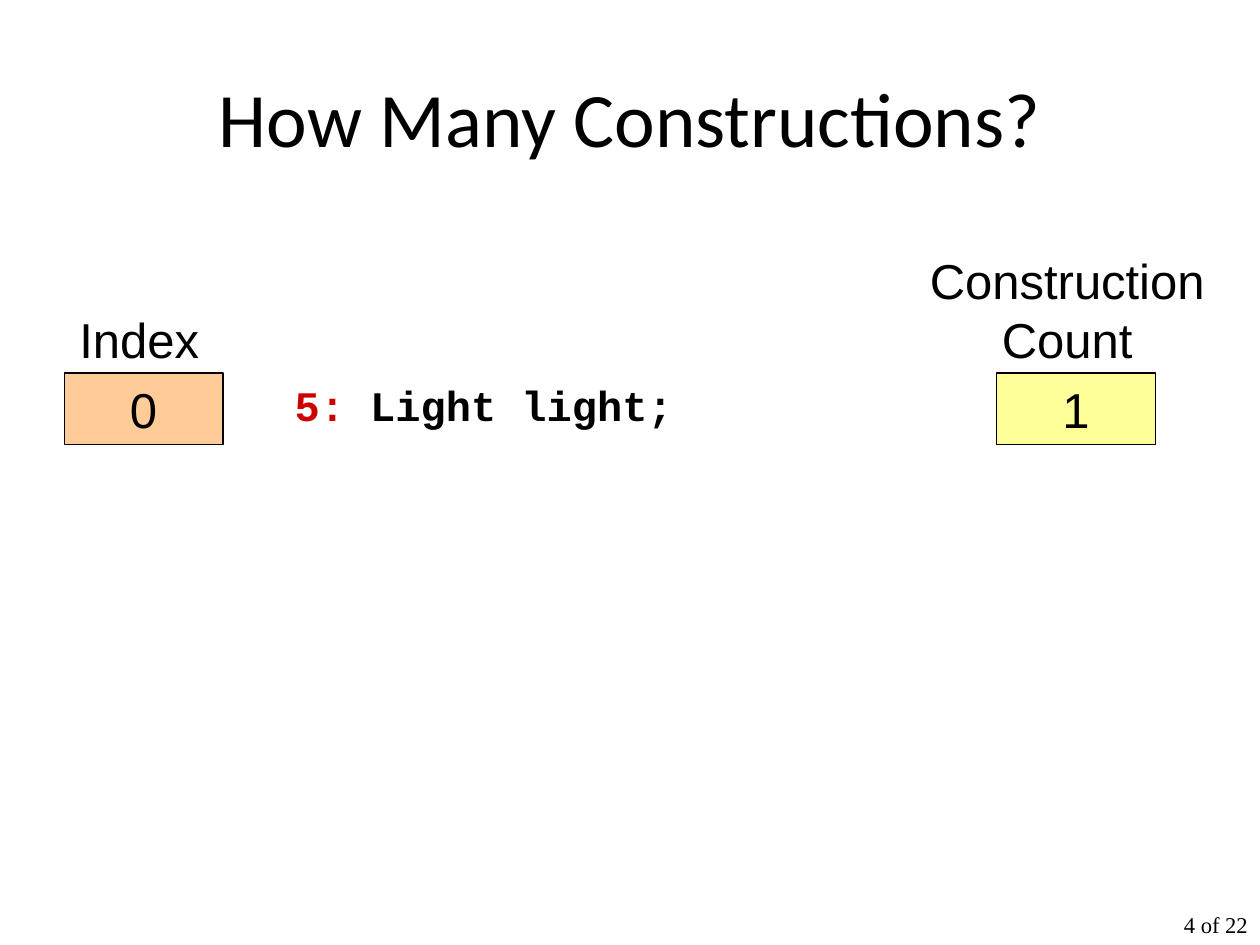
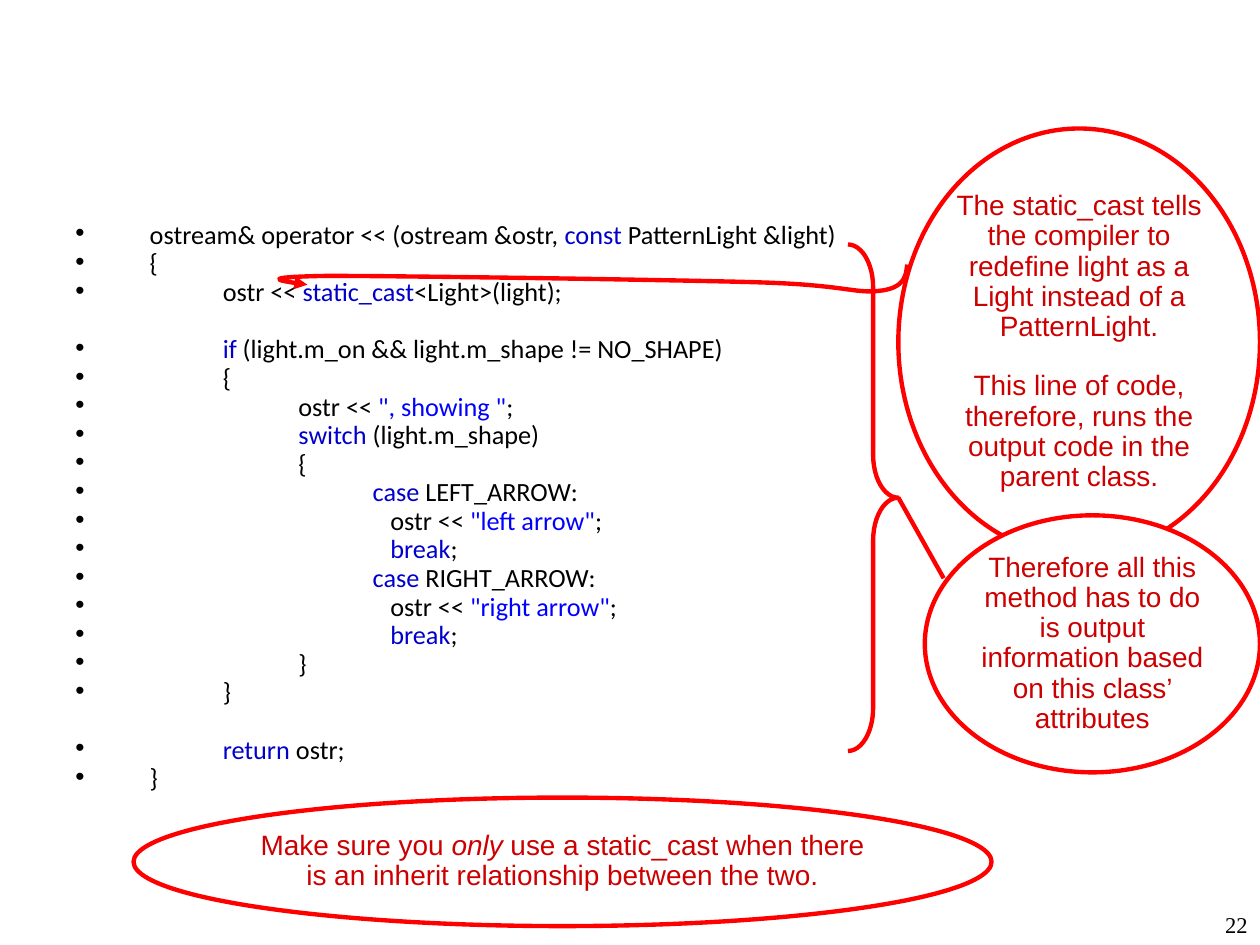
"""Build two lecture slides on object construction and static_cast."""
from lxml.etree import SubElement
from pptx import Presentation
from pptx.dml.color import RGBColor
from pptx.enum.shapes import MSO_CONNECTOR as Connector, MSO_SHAPE as Shape
from pptx.enum.text import MSO_ANCHOR as Anchor, PP_ALIGN as Align
from pptx.oxml.ns import qn
from pptx.util import Inches, Pt

BLACK, WHITE = "000000", "FFFFFF"
RED, DARK_RED = "FF0000", "CC0000"
KEYWORD, STRING = "0000CC", "0000FF"
ORANGE, YELLOW = "FFCC99", "FFFF99"
ANNOTATION_WIDTH = 2.5
CODE_INDENT = 0.59
CODE_TABS = (1.17, 1.77, 2.36, 2.5)
CODE_SPACE, CODE_GAP = 3.7, 20.2

CODE = """ostream& operator << (ostream &ostr, |const| PatternLight &light)
{
\tostr << |static_cast|<Light>(light);

\t|if| (light.m_on && light.m_shape != NO_SHAPE)
\t{
\t\tostr << |", showing "|;
\t\t|switch| (light.m_shape)
\t\t{
\t\t\t|case| LEFT_ARROW:
\t\t\t\tostr << |"left arrow"|;
\t\t\t\t|break|;
\t\t\t|case| RIGHT_ARROW:
\t\t\t\tostr << |"right arrow"|;
\t\t\t\t|break|;
\t\t}
\t}

\t|return| ostr;
}"""

CAST_NOTE = (
    "The static_cast tells the compiler to redefine light as a Light instead of a PatternLight.",
    "This line of code, therefore, runs the output code in the parent class.",
)
WARNING_NOTE = (
    "Make sure you |only| use a static_cast when there is an inherit relationship between the two.",
)
METHOD_NOTE = (
    "Therefore all this method has to do is output information based on this class’ attributes",
)

CAST_ARROW_START = (7.2, 2.1)
CAST_ARROW_CURVES = (
    ((7.19, 2.19), (7.18, 2.29), (6.97, 2.31)),
    ((6.77, 2.33), (6.71, 2.26), (5.98, 2.24)),
    ((5.25, 2.22), (3.19, 2.19), (2.6, 2.19)),
    ((2.01, 2.2), (2.22, 2.23), (2.44, 2.26)),
)


def rgb(color):
    """Turn a hex string into a colour."""
    return RGBColor.from_string(color)


def set_font(font, name, size, color=BLACK):
    """Set the face, size and colour of a font."""
    font.name, font.size = name, Pt(size)
    font.color.rgb = rgb(color)


def add_text(slide, box, text, name, size, align=Align.CENTER, anchor=Anchor.TOP):
    """Add a wrapped text box and return its first paragraph."""
    frame = slide.shapes.add_textbox(*map(Inches, box)).text_frame
    frame.word_wrap, frame.vertical_anchor = True, anchor
    paragraph = frame.paragraphs[0]
    paragraph.text, paragraph.alignment = text, align
    set_font(paragraph.font, name, size)
    return paragraph


def add_outlined(slide, kind, box, line, width, fill=None):
    """Add a preset shape with a plain outline and an optional fill."""
    shape = slide.shapes.add_shape(kind, *map(Inches, box))
    outline(shape, line, width, fill)
    return shape


def outline(shape, line, width, fill=None):
    """Remove the shadow and set the outline and fill."""
    shape.shadow.inherit = False
    shape.line.color.rgb, shape.line.width = rgb(line), Pt(width)
    if fill:
        shape.fill.solid()
        shape.fill.fore_color.rgb = rgb(fill)
    else:
        shape.fill.background()


def add_page_number(slide, text):
    """Put the page number in the bottom right corner."""
    paragraph = add_text(slide, (8.94, 7.22, 1.06, 0.28), text,
                         "Times New Roman", 12.9, Align.RIGHT)
    paragraph.line_spacing = 0.8


def add_counter(slide, box, label, label_box, value, fill):
    """Add a value cell with its label placed relative to the cell."""
    left, top, width, height = box
    dx, rise, label_width, label_height = label_box
    add_text(slide, (left + dx, top - rise, label_width, label_height), label, "Arial", 28)
    cell = add_outlined(slide, Shape.RECTANGLE, box, BLACK, 0.75, fill)
    cell.text_frame.vertical_anchor = Anchor.TOP
    paragraph = cell.text_frame.paragraphs[0]
    paragraph.text, paragraph.alignment = value, Align.CENTER
    set_font(paragraph.font, "Arial", 28)


def add_statement(slide, box, number, statement):
    """Add a numbered line of code."""
    paragraph = add_text(slide, box, "", "Courier New", 24, Align.LEFT)
    paragraph.font.bold = True
    for text, color in ((number, DARK_RED), (statement, BLACK)):
        run = paragraph.add_run()
        run.text = text
        set_font(run.font, "Courier New", 24, color)
        run.font.bold = True


def format_code_line(paragraph):
    """Give a code line its bullet, hanging indent and tab stops."""
    properties = paragraph._p.get_or_add_pPr()
    properties.set("marL", str(Inches(CODE_INDENT)))
    properties.set("indent", str(Inches(-CODE_INDENT)))
    bullet_color = SubElement(properties, qn("a:buClr"))
    SubElement(bullet_color, qn("a:srgbClr"), val=BLACK)
    SubElement(properties, qn("a:buFont"), typeface="Arial")
    SubElement(properties, qn("a:buChar"), char="•")
    tabs = SubElement(properties, qn("a:tabLst"))
    for stop in CODE_TABS:
        SubElement(tabs, qn("a:tab"), pos=str(Inches(stop)), algn="l")


def add_code(slide, box):
    """Add the bulleted listing with keywords and strings coloured."""
    frame = slide.shapes.add_textbox(*map(Inches, box)).text_frame
    frame.word_wrap = True
    paragraph, space = frame.paragraphs[0], CODE_SPACE
    for number, line in enumerate(CODE.splitlines()):
        if not line:
            space = CODE_GAP
            continue
        if number:
            paragraph = frame.add_paragraph()
        paragraph.line_spacing, paragraph.space_before = 0.7, Pt(space)
        space = CODE_SPACE
        format_code_line(paragraph)
        for index, text in enumerate(line.split("|")):
            if text:
                run = paragraph.add_run()
                run.text = text
                accent = STRING if text.startswith('"') else KEYWORD
                set_font(run.font, "Calibri", 15, accent if index % 2 else BLACK)


def add_note(slide, box, texts):
    """Add a red ellipse with a comment; bars enclose italic words."""
    ellipse = add_outlined(slide, Shape.OVAL, box, RED, ANNOTATION_WIDTH, WHITE)
    frame = ellipse.text_frame
    frame.word_wrap, frame.vertical_anchor = True, Anchor.MIDDLE
    frame.margin_left = frame.margin_right = frame.margin_top = frame.margin_bottom = 0
    for number, text in enumerate(texts):
        paragraph = frame.add_paragraph() if number else frame.paragraphs[0]
        paragraph.alignment, paragraph.line_spacing = Align.CENTER, 0.9
        if number:
            paragraph.space_before = Pt(16.6)
        set_font(paragraph.font, "Arial", 16, DARK_RED)
        for index, part in enumerate(text.split("|")):
            run = paragraph.add_run()
            run.text = part
            if index % 2:
                run.font.italic = True


def bezier(start, first, second, end, steps=16):
    """Return points along a cubic curve, without its start."""
    points = []
    for step in range(1, steps + 1):
        t = step / steps
        weights = ((1 - t) ** 3, 3 * t * (1 - t) ** 2, 3 * t * t * (1 - t), t ** 3)
        points.append(tuple(
            Inches(sum(weight * value for weight, value in zip(weights, axis)))
            for axis in zip(start, first, second, end)))
    return points


def add_cast_arrow(slide):
    """Draw the curved arrow from the cast note to the cast."""
    builder = slide.shapes.build_freeform(*map(Inches, CAST_ARROW_START))
    start = CAST_ARROW_START
    for curve in CAST_ARROW_CURVES:
        builder.add_line_segments(bezier(start, *curve), close=False)
        start = curve[-1]
    arrow = builder.convert_to_shape()
    outline(arrow, RED, ANNOTATION_WIDTH)
    line = arrow.element.spPr.find(qn("a:ln"))
    SubElement(line, qn("a:tailEnd"), type="triangle")


def add_method_brace(slide, box, note_point):
    """Brace the method body and join its tip to the note."""
    left, top, width, height = box
    brace = add_outlined(slide, Shape.RIGHT_BRACE, box, RED, ANNOTATION_WIDTH)
    brace.adjustments[0] = 0.85
    tip = (left + width, top + height / 2)
    link = slide.shapes.add_connector(Connector.STRAIGHT, *map(Inches, note_point + tip))
    link.line.color.rgb, link.line.width = rgb(RED), Pt(ANNOTATION_WIDTH)
    SubElement(link.element.spPr, qn("a:effectLst"))


def build_construction_slide(slide):
    """Build the slide that counts constructions."""
    add_text(slide, (0.5, 0.3, 9, 1.25), "How Many Constructions?", "Calibri", 44,
             anchor=Anchor.MIDDLE)
    add_page_number(slide, "4 of 22")
    add_counter(slide, (0.51, 2.96, 1.26, 0.57), "Index",
                (-0.31, 0.55, 1.81, 0.57), "0", ORANGE)
    add_counter(slide, (7.91, 2.96, 1.26, 0.57), "Construction Count",
                (-0.86, 1.02, 2.84, 1.04), "1", YELLOW)
    add_statement(slide, (2.24, 2.96, 5.43, 0.5), "5: ", "Light light;")


def build_cast_slide(slide):
    """Build the slide that explains static_cast."""
    add_code(slide, (0.5, 1.75, 9, 4.95))
    add_page_number(slide, "22")
    add_note(slide, (7.13, 1.02, 2.87, 3.39), CAST_NOTE)
    add_note(slide, (1.06, 6.33, 6.81, 1.02), WARNING_NOTE)
    add_note(slide, (7.34, 4.09, 2.66, 2.04), METHOD_NOTE)
    add_cast_arrow(slide)
    add_method_brace(slide, (6.73, 1.94, 0.4, 4.02), (7.49, 4.59))


def main():
    """Create the presentation and save it."""
    deck = Presentation()
    deck.slide_width, deck.slide_height = Inches(10), Inches(7.5)
    for build in (build_construction_slide, build_cast_slide):
        build(deck.slides.add_slide(deck.slide_layouts[6]))
    deck.save("out.pptx")


if __name__ == "__main__":
    main()
